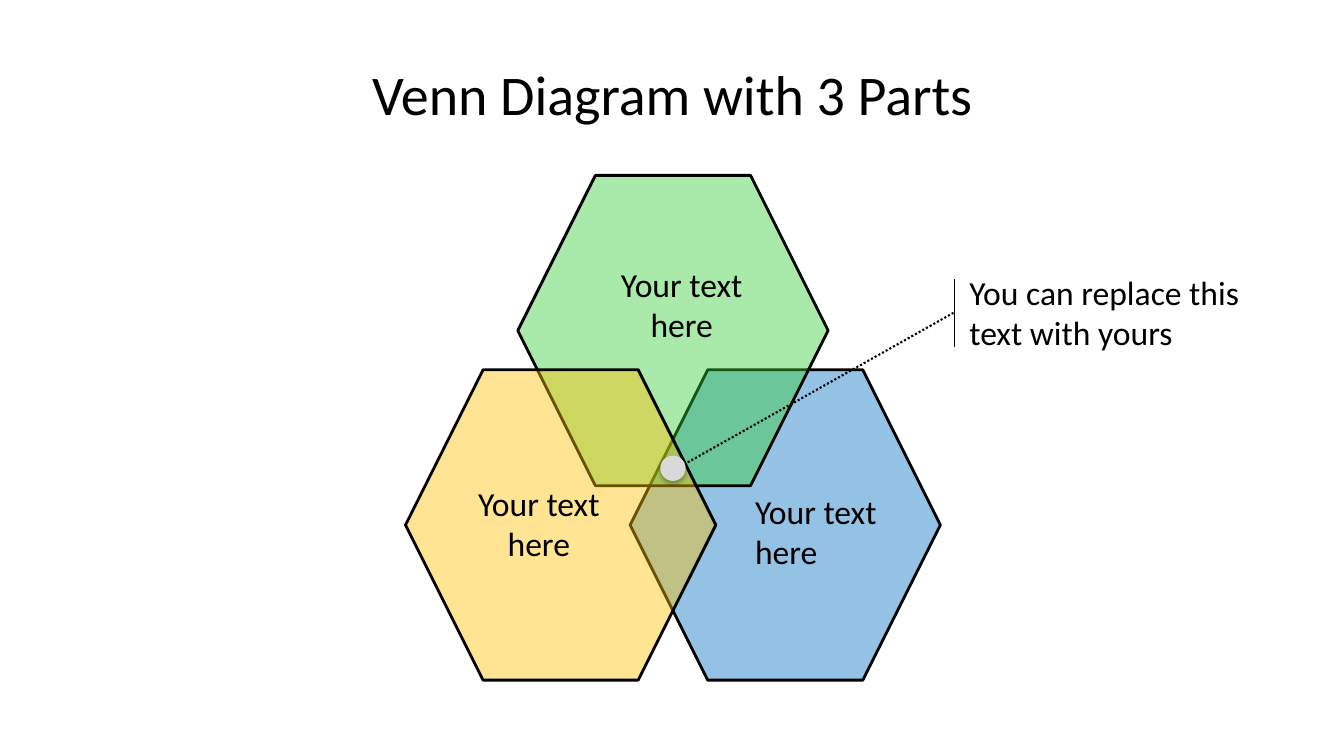
from dataclasses import dataclass

from lxml import etree
from pptx import Presentation
from pptx.dml.color import RGBColor
from pptx.enum.dml import MSO_LINE
from pptx.enum.shapes import MSO_CONNECTOR, MSO_SHAPE
from pptx.enum.text import MSO_ANCHOR, PP_ALIGN
from pptx.oxml.ns import qn
from pptx.util import Cm, Pt

HEXAGON, OVAL = MSO_SHAPE.HEXAGON, MSO_SHAPE.OVAL
STRAIGHT, DOTTED = MSO_CONNECTOR.STRAIGHT, MSO_LINE.ROUND_DOT
LEFT, CENTER = PP_ALIGN.LEFT, PP_ALIGN.CENTER
TOP, MIDDLE = MSO_ANCHOR.TOP, MSO_ANCHOR.MIDDLE
TITLE_ONLY = 5


@dataclass(frozen=True)
class Theme:
    font: str = "Calibri"
    title_size: int = 40
    body_size: int = 24
    ink: str = "000000"
    blue: str = "0070C0"
    green: str = "33CC33"
    yellow: str = "FFC000"
    marker: str = "D9D9D9"
    fill_opacity: int = 42
    outline: float = 2
    leader: float = 1.5
    bar: float = 0.75


class SlideBuilder:
    def __init__(self, slide, theme):
        self.slide = slide
        self.shapes = slide.shapes
        self.theme = theme

    def set_text(self, box, text, size, align, anchor):
        frame = box.text_frame
        frame.text = text
        frame_format = {"word_wrap": True, "vertical_anchor": anchor}
        for name, value in frame_format.items():
            setattr(frame, name, value)
        para = frame.paragraphs[0]
        para.alignment = align
        font = para.runs[0].font
        font_format = {"name": self.theme.font, "size": Pt(size), "bold": False}
        for name, value in font_format.items():
            setattr(font, name, value)
        font.color.rgb = RGBColor.from_string(self.theme.ink)

    def title(self, text, left, top, width, height):
        box = self.shapes.title
        place = {"left": left, "top": top, "width": width, "height": height}
        for name, value in place.items():
            setattr(box, name, Cm(value))
        self.set_text(box, text, self.theme.title_size, CENTER, MIDDLE)

    def label(self, text, left, top, width, height, align=LEFT):
        box = self.shapes.add_textbox(Cm(left), Cm(top), Cm(width), Cm(height))
        self.set_text(box, text, self.theme.body_size, align, TOP)

    def shape(self, kind, left, top, size, color):
        shape = self.shapes.add_shape(kind, Cm(left), Cm(top), Cm(size), Cm(size))
        shape.shadow.inherit = False
        shape.fill.solid()
        shape.fill.fore_color.rgb = RGBColor.from_string(color)
        return shape

    def hexagon(self, left, top, size, color):
        shape = self.shape(HEXAGON, left, top, size, color)
        self.stroke(shape.line, self.theme.outline)
        fill_color = shape._element.spPr.find(qn("a:solidFill"))[0]
        self.opacity(fill_color, self.theme.fill_opacity)

    def dot(self, left, top, size):
        shape = self.shape(OVAL, left, top, size, self.theme.marker)
        shape.line.fill.background()
        effects = shape._element.spPr.find(qn("a:effectLst"))
        shadow = etree.SubElement(
            effects, qn("a:outerShdw"), blurRad=str(Pt(3.5)), dist=str(Pt(2.2)),
            dir="5400000", algn="t", rotWithShape="0")
        color = etree.SubElement(shadow, qn("a:srgbClr"), val=self.theme.ink)
        self.opacity(color, 32)

    def line(self, start, end, width, dash=None):
        ends = [Cm(value) for value in (*start, *end)]
        connector = self.shapes.add_connector(STRAIGHT, *ends)
        self.stroke(connector.line, width, dash)
        etree.SubElement(connector._element.spPr, qn("a:effectLst"))

    def stroke(self, line, width, dash=None):
        line.color.rgb = RGBColor.from_string(self.theme.ink)
        line.width = Pt(width)
        if dash:
            line.dash_style = dash

    def opacity(self, color, percent):
        etree.SubElement(color, qn("a:alpha"), val=str(percent * 1000))


def main():
    theme = Theme()
    deck = Presentation()
    deck.slide_width, deck.slide_height = Cm(33.87), Cm(19.05)
    page = SlideBuilder(deck.slides.add_slide(deck.slide_layouts[TITLE_ONLY]), theme)
    page.title("Venn Diagram with 3 Parts", 1.7, 0.76, 30.48, 3.18)

    # Three overlapping hexagons, placed around the top one
    size, top_left, top_edge = 7.82, 13.05, 4.42
    step_x, step_y = 2.83, 4.9
    parts = [  # column, row, colour, label offset, label alignment
        (1, 1, theme.blue, (2.9, 2.92), LEFT),
        (0, 0, theme.green, (2.11, 2.11), CENTER),
        (-1, 1, theme.yellow, (1.34, 2.72), CENTER),
    ]
    for column, row, color, (label_x, label_y), align in parts:
        left, top = top_left + column * step_x, top_edge + row * step_y
        page.hexagon(left, top, size, color)
        page.label("Your text here", left + label_x, top + label_y, 4.04, 2.31, align)

    # Callout to the shared centre
    bar_x = 24.05
    page.label("You can replace this text with yours", 24.18, 6.73, 7.44, 2.31)
    page.line((16.87, 11.91), (bar_x, 7.87), theme.leader, DOTTED)
    page.dot(16.64, 11.48, 0.64)
    page.line((bar_x, 7.04), (bar_x, 8.74), theme.bar)

    deck.save("out.pptx")


if __name__ == "__main__":
    main()
